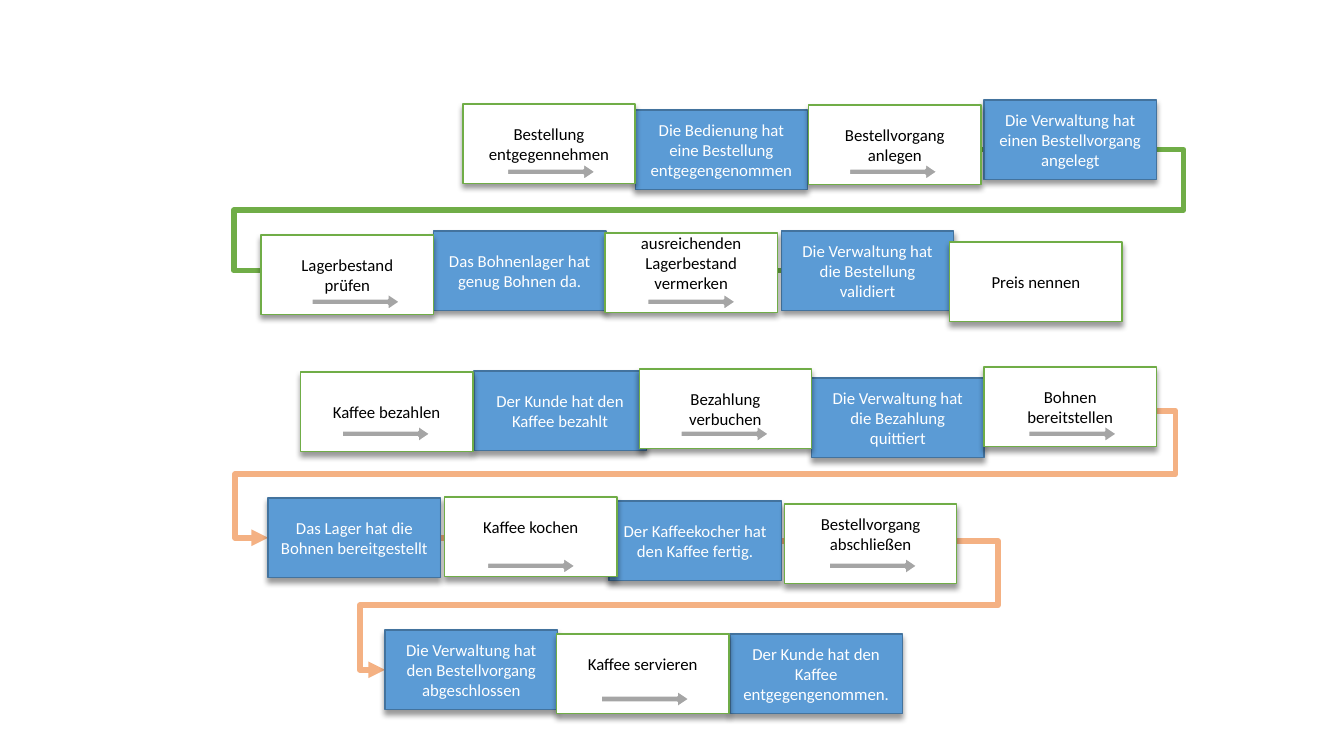
from dataclasses import dataclass
from typing import Optional

from lxml import etree
from pptx import Presentation
from pptx import util as u
from pptx.dml.color import RGBColor
from pptx.enum import shapes, text
from pptx.oxml import parse_xml
from pptx.oxml.ns import nsdecls, qn


@dataclass(frozen=True)
class Theme:
    """Colours, type and shared sizes (inches, points)."""
    font: str = "Calibri"
    size: int = 12
    white: str = "FFFFFF"
    black: str = "000000"
    blue: str = "5B9BD5"
    blue_edge: str = "43739E"
    green: str = "70AD47"
    orange: str = "F4B183"
    grey: str = "A5A5A5"
    box_width: float = 1.71
    box_height: float = 0.79
    arrow_width: float = 0.88
    arrow_height: float = 0.17
    link_width: float = 4


@dataclass(frozen=True)
class Step:
    """A box placed relative to its row; lift keeps text above the arrow."""
    words: str
    left: float
    top: float
    is_state: bool = False
    arrow: Optional[float] = None
    lift: float = 0


THEME = Theme()


def state(words, left, top):
    """Describe a blue box: a state that has been reached."""
    return Step(words, left, top, is_state=True)


def activity(words, left, top, arrow=None, lift=0):
    """Describe a white box: something to do, with an optional arrow."""
    return Step(words, left, top, arrow=arrow, lift=lift)


# left, top, arrow offset below the top, steps
ROWS = [
    (4.59, 0.99, 0.63, [
        activity("Bestellung entgegennehmen", 0, 0.04, 0.44),
        state("Die Bedienung hat eine Bestellung entgegengenommen", 1.71, 0.1),
        activity("Bestellvorgang anlegen", 3.43, 0.05, 0.4),
        state("Die Verwaltung hat einen Bestellvorgang angelegt", 5.17, 0)]),
    (2.59, 2.29, 0.62, [
        activity("Lagerbestand\nprüfen", 0, 0.04, 0.5),
        state("Das Bohnenlager hat genug Bohnen da.", 1.71, 0),
        activity("ausreichenden Lagerbestand vermerken", 3.41, 0.02, 0.42, 0.2),
        state("Die Verwaltung hat die Bestellung validiert", 5.16, 0),
        activity("Preis nennen", 6.83, 0.11)]),
    (2.98, 3.64, 0.58, [
        activity("Kaffee bezahlen", 0, 0.05, 0.41),
        state("Der Kunde hat den Kaffee bezahlt", 1.72, 0.04),
        activity("Bezahlung\nverbuchen", 3.36, 0.02, 0.41),
        state("Die Verwaltung hat die Bezahlung quittiert", 5.07, 0.11),
        activity("Bohnen\nbereitstellen", 6.78, 0, 0.44)]),
    (2.66, 4.93, 0.6, [
        state("Das Lager hat die Bohnen bereitgestellt", 0, 0.01),
        activity("Kaffee kochen", 1.75, 0, 0.42, 0.2),
        state("Der Kaffeekocher hat den Kaffee fertig.", 3.38, 0.04),
        activity("Bestellvorgang\nabschließen", 5.12, 0.07, 0.44, 0.2)]),
    (3.82, 6.25, 0.6, [
        state("Die Verwaltung hat den Bestellvorgang abgeschlossen", 0, 0),
        activity("Kaffee servieren", 1.7, 0.04, 0.44, 0.2),
        state("Der Kunde hat den Kaffee entgegengenommen.", 3.42, 0.04)]),
]

# (row, state) pairs, colour, and for row changes the two outer lanes
LINKS = [
    ((0, 0), (1, 0), THEME.green, (11.74, 2.32)),
    ((2, 0), (3, 0), THEME.orange, (11.66, 2.33)),
    ((3, 1), (4, 0), THEME.orange, (9.9, 3.57)),
    ((3, 0), (3, 1), THEME.orange, None),
    ((4, 0), (4, 1), THEME.orange, None),
    ((1, 0), (1, 1), THEME.green, None),
]


def paint(shape, fill, edge, width):
    """Set fill and outline, without the default shadow."""
    shape.shadow.inherit = False
    shape.fill.solid()
    shape.fill.fore_color.rgb = RGBColor.from_string(fill)
    shape.line.color.rgb = RGBColor.from_string(edge)
    shape.line.width = u.Pt(width)


def add_soft_shadow(shape):
    """Drop a soft black shadow straight down."""
    effects = shape._element.spPr.find(qn("a:effectLst"))
    effects.append(parse_xml(
        f'<a:outerShdw {nsdecls("a")} blurRad="{u.Pt(4)}" dist="{u.Pt(3)}" '
        f'dir="5400000" algn="t" rotWithShape="0"><a:srgbClr val="{THEME.black}">'
        '<a:alpha val="40000"/></a:srgbClr></a:outerShdw>'))


def draw_step(page, step, left, top):
    """Draw one process box with its wording."""
    box = page.shapes.add_shape(
        shapes.MSO_SHAPE.RECTANGLE, u.Inches(left + step.left), u.Inches(top + step.top),
        u.Inches(THEME.box_width), u.Inches(THEME.box_height))
    if step.is_state:
        fill, edge, ink = THEME.blue, THEME.blue_edge, THEME.white
    else:
        fill, edge, ink = THEME.white, THEME.green, THEME.black
    paint(box, fill, edge, 1)
    add_soft_shadow(box)
    frame = box.text_frame
    frame.word_wrap = True
    frame.vertical_anchor = text.MSO_ANCHOR.MIDDLE
    frame.margin_top, frame.margin_bottom = 0, u.Inches(step.lift)
    for index, line in enumerate(step.words.split("\n")):
        para = frame.add_paragraph() if index else frame.paragraphs[0]
        para.alignment = text.PP_ALIGN.CENTER
        span = para.add_run()
        span.text = line
        span.font.name, span.font.size = THEME.font, u.Pt(THEME.size)
        span.font.color.rgb = RGBColor.from_string(ink)
    return box


def draw_row(page, left, top, arrow_top, steps):
    """Draw states, then activities and arrows over them; return the states."""
    states = [draw_step(page, step, left, top) for step in steps if step.is_state]
    activities = [step for step in steps if not step.is_state]
    for step in activities:
        draw_step(page, step, left, top)
    for step in activities:
        if step.arrow is None:
            continue
        arrow = page.shapes.add_shape(
            shapes.MSO_SHAPE.RIGHT_ARROW,
            u.Inches(left + step.left + step.arrow), u.Inches(top + arrow_top),
            u.Inches(THEME.arrow_width), u.Inches(THEME.arrow_height))
        arrow.adjustments[0], arrow.adjustments[1] = 0.39, 0.74
        paint(arrow, THEME.grey, THEME.white, 1.5)
    return states


def draw_link(page, source, target, colour, lanes):
    """Link two states behind all boxes, around the outer lanes if given."""
    link = page.shapes.add_connector(shapes.MSO_CONNECTOR.ELBOW, 0, 0, 0, 0)
    link.begin_connect(source, 3)
    link.end_connect(target, 1)
    link.line.color.rgb = RGBColor.from_string(colour)
    link.line.width = u.Pt(THEME.link_width)
    properties = link._element.spPr
    etree.SubElement(properties, qn("a:effectLst"))
    if lanes:
        outline = properties.find(qn("a:ln"))
        etree.SubElement(outline, qn("a:tailEnd"), type="triangle")
        geometry = properties.find(qn("a:prstGeom"))
        geometry.set("prst", "bentConnector5")
        span = link.end_x - link.begin_x
        first, last = ((u.Inches(lane) - link.begin_x) / span for lane in lanes)
        guides = geometry.find(qn("a:avLst"))
        for number, share in enumerate((first, 0.5, last), start=1):
            etree.SubElement(guides, qn("a:gd"), name=f"adj{number}",
                             fmla=f"val {round(share * 100000)}")
    page.shapes._spTree.insert(2, link._element)


def draw_process(page):
    """Draw the whole coffee order process."""
    states = [draw_row(page, *row) for row in ROWS]
    for (row, item), (next_row, next_item), colour, lanes in LINKS:
        draw_link(page, states[row][item], states[next_row][next_item], colour, lanes)


deck = Presentation()
deck.slide_width, deck.slide_height = u.Inches(13.33), u.Inches(7.5)
draw_process(deck.slides.add_slide(deck.slide_layouts[6]))
deck.save("out.pptx")
